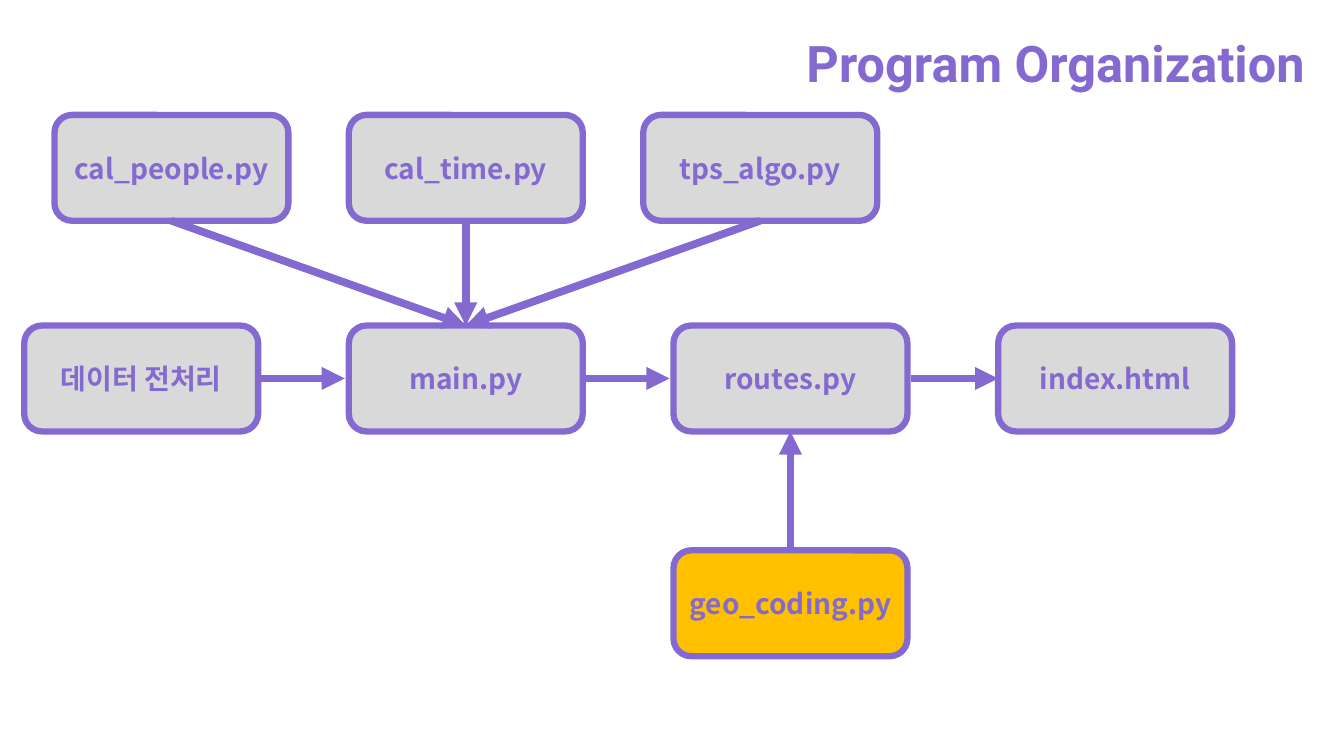
from pptx import Presentation
from pptx.dml.color import RGBColor
from pptx.enum.shapes import MSO_CONNECTOR, MSO_SHAPE
from pptx.enum.text import MSO_ANCHOR, PP_ALIGN
from pptx.oxml.ns import qn
from pptx.util import Inches, Pt
from lxml.etree import SubElement

COLORS = {"violet": "8369D0", "gray": "D9D9D9", "amber": "FFC000"}
WIDE, HIGH = 2.32, 1.05
TOP, MID, LOW = 1.14, 3.23, 5.46


def color(name):
    return RGBColor.from_string(COLORS[name])


def write(frame, text, font, size):
    frame.word_wrap = True
    frame.vertical_anchor = MSO_ANCHOR.MIDDLE
    line = frame.paragraphs[0]
    line.alignment = PP_ALIGN.CENTER
    run = line.add_run()
    run.text = text
    run.font.name = font
    run.font.size = Pt(size)
    run.font.bold = True
    run.font.color.rgb = color("violet")
    SubElement(run.font._element, qn("a:ea")).set("typeface", font)


deck = Presentation()
deck.slide_width = Inches(13.33)
deck.slide_height = Inches(7.5)
slide = deck.slides.add_slide(deck.slide_layouts[5])

title = slide.shapes.title
title.left, title.top = Inches(7.61), Inches(0.26)
title.width, title.height = Inches(5.72), Inches(0.71)
write(title.text_frame, "Program Organization", "Roboto", 36)

top_row = ["cal_people.py", "cal_time.py", "tps_algo.py"]
mid_row = ["데이터 전처리", "main.py", "routes.py", "index.html"]
nodes = [(name, 0.54 + 2.92 * i, TOP, "gray") for i, name in enumerate(top_row)]
nodes += [(name, 0.24 + 3.22 * i, MID, "gray") for i, name in enumerate(mid_row)]
nodes.append(("geo_coding.py", 6.68, LOW, "amber"))

boxes = {}
for name, left, top, fill in nodes:
    box = slide.shapes.add_shape(
        MSO_SHAPE.ROUNDED_RECTANGLE,
        Inches(left), Inches(top), Inches(WIDE), Inches(HIGH))
    box.shadow.inherit = False
    box.fill.solid()
    box.fill.fore_color.rgb = color(fill)
    box.line.color.rgb = color("violet")
    box.line.width = Pt(4.5)
    write(box.text_frame, name, "Noto Sans CJK KR", 20)
    boxes[name] = box

links = [(name, 2, "main.py", 0, 0, 0) for name in top_row]
links += [
    ("데이터 전처리", 3, "main.py", 1, 0, 0.04),
    ("main.py", 3, "routes.py", 1, 0, 0.04),
    ("routes.py", 3, "index.html", 1, 0.04, 0),
    ("geo_coding.py", 0, "routes.py", 2, 0, 0),
]
for source, out, target, into, lead, gap in links:
    start, end = boxes[source], boxes[target]
    y = Inches(MID + HIGH / 2)
    arrow = slide.shapes.add_connector(
        MSO_CONNECTOR.STRAIGHT,
        start.left + start.width + Inches(lead), y, end.left - Inches(gap), y)
    if not lead:
        arrow.begin_connect(start, out)
    if not gap:
        arrow.end_connect(end, into)
    arrow.line.color.rgb = color("violet")
    arrow.line.width = Pt(5.5)
    SubElement(arrow.line._get_or_add_ln(), qn("a:tailEnd")).set("type", "triangle")
    SubElement(arrow._element.spPr, qn("a:effectLst"))

deck.save("out.pptx")
